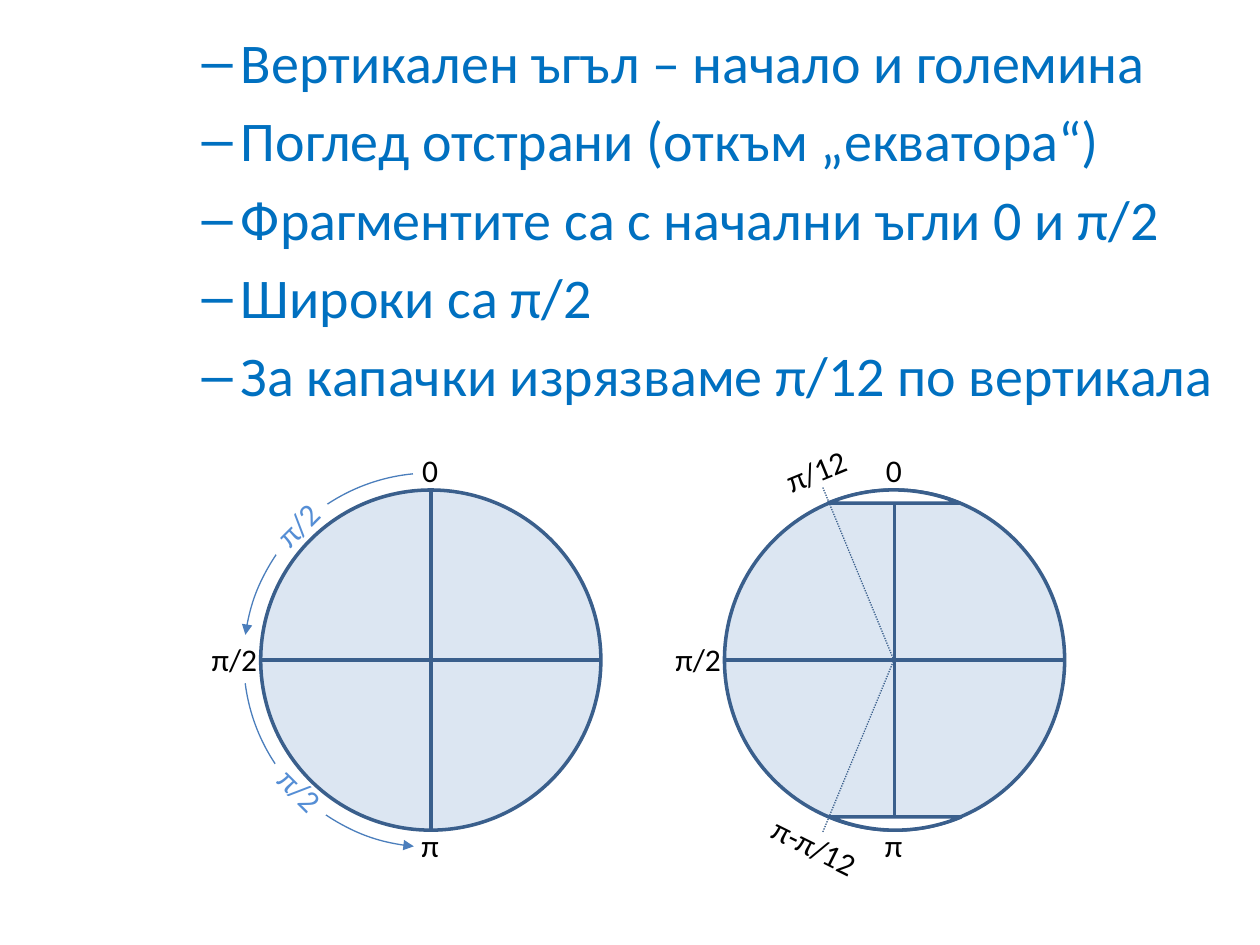
from lxml.etree import SubElement
from pptx import Presentation
from pptx.dml.color import RGBColor
from pptx.enum.dml import MSO_LINE
from pptx.enum.shapes import MSO_CONNECTOR, MSO_SHAPE
from pptx.enum.text import MSO_AUTO_SIZE, PP_ALIGN
from pptx.oxml.ns import qn
from pptx.util import Pt

FONT = "Calibri"
OUTLINE = "3A5F8C"
ARC_BLUE = "4B7EBC"
LABEL_BLUE = "558ED5"
DIAMETER = 194.4
LABEL_HEIGHT = 29
BULLETS = [
    "Вертикален ъгъл – начало и големина",
    "Поглед отстрани (откъм „екватора“)",
    "Фрагментите са с начални ъгли 0 и π/2",
    "Широки са π/2",
    "За капачки изрязваме π/12 по вертикала",
]


def color(value):
    """Turn a hex string into a colour."""
    return RGBColor.from_string(value)


def add_list(slide, left, top, width, height):
    """Fill the body placeholder with the second-level list."""
    body = slide.placeholders[1]
    body.left, body.top, body.width, body.height = map(Pt, (left, top, width, height))
    frame = body.text_frame
    frame.text = "\n".join(BULLETS)
    for paragraph in frame.paragraphs:
        paragraph.level = 1
        paragraph.font.name = FONT
        paragraph.font.size = Pt(32)
        paragraph.font.color.rgb = color("0070C0")


def add_label(slide, text, center_x, center_y, width, rotation=0, ink="000000", fill=None):
    """Place an unwrapped label around a centre point."""
    box = slide.shapes.add_textbox(Pt(center_x - width / 2), Pt(center_y - LABEL_HEIGHT / 2),
                                   Pt(width), Pt(LABEL_HEIGHT))
    box.rotation = rotation
    if fill:
        box.fill.solid()
        box.fill.fore_color.rgb = color(fill)
    frame = box.text_frame
    frame.word_wrap = False
    frame.auto_size = MSO_AUTO_SIZE.SHAPE_TO_FIT_TEXT
    paragraph = frame.paragraphs[0]
    paragraph.text = text
    paragraph.alignment = PP_ALIGN.CENTER
    paragraph.font.name = FONT
    paragraph.font.size = Pt(18)
    paragraph.font.color.rgb = color(ink)


def add_round(slide, kind, left, top, size, fill=None, angles=(), flip=None, ink=OUTLINE, weight=2):
    """Add a round shape in a square box, with optional angles and mirroring."""
    shape = slide.shapes.add_shape(kind, Pt(left), Pt(top), Pt(size), Pt(size))
    shape.shadow.inherit = False
    for index, angle in enumerate(angles):
        shape.adjustments[index] = angle * 0.6
    if fill:
        shape.fill.solid()
        shape.fill.fore_color.rgb = color(fill)
    else:
        shape.fill.background()
    shape.line.color.rgb = color(ink)
    shape.line.width = Pt(weight)
    if flip:
        shape.element.spPr.find(qn("a:xfrm")).set(flip, "1")
    return shape


def add_line(slide, start_x, start_y, end_x, end_y, weight=2, dash=None):
    """Draw a straight line without a shadow."""
    line = slide.shapes.add_connector(MSO_CONNECTOR.STRAIGHT, Pt(start_x), Pt(start_y),
                                      Pt(end_x), Pt(end_y))
    line.line.color.rgb = color(OUTLINE)
    line.line.width = Pt(weight)
    if dash:
        line.line.dash_style = dash
    SubElement(line.element.spPr, qn("a:effectLst"))


def add_quartered_circle(slide, left, top):
    """Draw the circle with its two diameters and its angle labels."""
    radius = DIAMETER / 2
    center_x, center_y = left + radius, top + radius
    add_label(slide, "0", center_x - 0.5, top - 11.5, 24)
    add_label(slide, "π/2", left - 15, center_y - 0.5, 41)
    add_label(slide, "π", center_x - 0.5, top + DIAMETER + 8.5, 24.5)
    add_round(slide, MSO_SHAPE.OVAL, left, top, DIAMETER, "DCE6F2")
    add_line(slide, left, center_y, left + DIAMETER, center_y)
    add_line(slide, center_x, top, center_x, top + DIAMETER)


def add_angle_diagram(slide, left, top):
    """Draw the circle with two arrowed quarter arcs."""
    gap = 9.7
    for rotation, angles in ((0, (275.45, 352.26)), (270, (277.14, 354.77))):
        arc = add_round(slide, MSO_SHAPE.ARC, left - gap, top - gap, DIAMETER + 2 * gap,
                        angles=angles, flip="flipH", ink=ARC_BLUE, weight=0.75)
        arc.rotation = rotation
        SubElement(arc.line._get_or_add_ln(), qn("a:tailEnd"), type="triangle")
    add_label(slide, "π/2", left + 22.5, top + DIAMETER - 23, 41, 45, LABEL_BLUE, "FFFFFF")
    add_label(slide, "π/2", left + 21, top + 20, 41, 315, LABEL_BLUE, "FFFFFF")
    add_quartered_circle(slide, left, top)


def add_cap_diagram(slide, left, top):
    """Draw the circle with its caps cut off and the cut angles marked."""
    add_quartered_circle(slide, left, top)
    for shift, flip in ((-0.5, None), (0.5, "flipV")):
        add_round(slide, MSO_SHAPE.CHORD, left + shift, top, DIAMETER, "FFFFFF",
                  (247.29, 292.73), flip)
    center_x, center_y = left + DIAMETER / 2, top + DIAMETER / 2
    add_label(slide, "π/12", left + 52.2, top - 11, 49.5, 337.8)
    for end_y in (top - 1.4, top + DIAMETER + 1.0):
        add_line(slide, left + 56.2, end_y, center_x - 0.4, center_y, 0.75, MSO_LINE.ROUND_DOT)
    add_label(slide, "π-π/12", left + 51.5, top + DIAMETER + 9.3, 65.5, 26.5)


def main():
    """Build the slide and save it."""
    presentation = Presentation()
    presentation.slide_width, presentation.slide_height = Pt(720), Pt(540)
    slide = presentation.slides.add_slide(presentation.slide_layouts[1])
    title = slide.shapes.title.element
    title.getparent().remove(title)
    add_list(slide, 72, 12, 648, 516)
    add_angle_diagram(slide, 149, 280)
    add_cap_diagram(slide, 414, 280)
    presentation.save("out.pptx")


if __name__ == "__main__":
    main()
